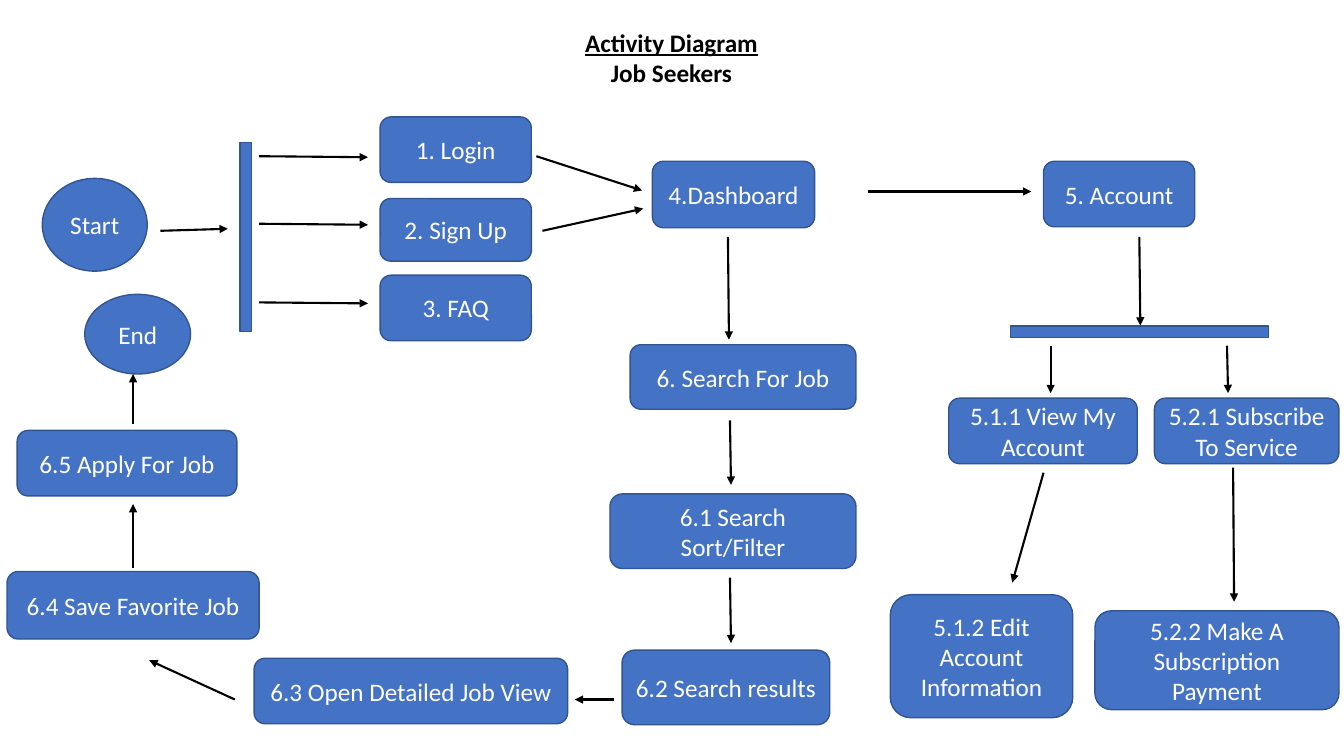
from dataclasses import dataclass

from lxml.etree import SubElement
from pptx import Presentation
from pptx.dml.color import RGBColor
from pptx.enum.shapes import MSO_CONNECTOR, MSO_SHAPE
from pptx.enum.text import MSO_ANCHOR, MSO_AUTO_SIZE, PP_ALIGN
from pptx.oxml.ns import qn
from pptx.util import Inches, Pt


@dataclass(frozen=True)
class Theme:
    """Colours, type and line widths of the diagram."""
    ink: RGBColor = RGBColor(0x00, 0x00, 0x00)
    paper: RGBColor = RGBColor(0xFF, 0xFF, 0xFF)
    step: RGBColor = RGBColor(0x44, 0x72, 0xC4)
    edge: RGBColor = RGBColor(0x32, 0x54, 0x91)
    face: str = "Calibri"
    size: Pt = Pt(18)
    edge_width: Pt = Pt(1)
    arrow_width: Pt = Pt(1.5)


THEME = Theme()
LABEL = {"name": THEME.face, "size": THEME.size}


def apply(target, formats):
    """Set each format value on the target."""
    for attribute, value in formats.items():
        setattr(target, attribute, value)


def add_step(slide, origin, at, label="", kind=MSO_SHAPE.ROUNDED_RECTANGLE, margin=0.1):
    """Add one activity, placed from the region's origin."""
    left, top, width, height = at
    step = slide.shapes.add_shape(
        kind, Inches(origin[0] + left), Inches(origin[1] + top),
        Inches(width), Inches(height))
    step.shadow.inherit = False
    step.fill.solid()
    step.fill.fore_color.rgb = THEME.step
    step.line.color.rgb = THEME.edge
    step.line.width = THEME.edge_width
    if label:
        frame = step.text_frame
        apply(frame, {"text": label, "word_wrap": True,
                      "vertical_anchor": MSO_ANCHOR.MIDDLE,
                      "margin_left": Inches(margin),
                      "margin_right": Inches(margin)})
        paragraph = frame.paragraphs[0]
        paragraph.alignment = PP_ALIGN.CENTER
        font = paragraph.runs[0].font
        apply(font, LABEL)
        font.color.rgb = THEME.paper
    return step


def add_arrows(slide, origin, routes):
    """Add arrows whose ends are measured from the region's origin."""
    left, top = origin
    for x1, y1, x2, y2 in routes:
        arrow = slide.shapes.add_connector(
            MSO_CONNECTOR.STRAIGHT, Inches(left + x1), Inches(top + y1),
            Inches(left + x2), Inches(top + y2))
        arrow.line.color.rgb = THEME.ink
        arrow.line.width = THEME.arrow_width
        properties = arrow.element.spPr
        SubElement(properties.find(qn("a:ln")), qn("a:tailEnd"), type="triangle")
        SubElement(properties, qn("a:effectLst"))


def add_heading(slide, box):
    """Fill the title placeholder with the two heading lines."""
    heading = slide.shapes.title
    places = ("left", "top", "width", "height")
    apply(heading, {place: Inches(value) for place, value in zip(places, box)})
    frame = heading.text_frame
    apply(frame, {"text": "Activity Diagram\nJob Seekers", "word_wrap": True,
                  "auto_size": MSO_AUTO_SIZE.NONE,
                  "vertical_anchor": MSO_ANCHOR.TOP})
    for paragraph, underline in zip(frame.paragraphs, (True, False)):
        paragraph.alignment = PP_ALIGN.CENTER
        font = paragraph.runs[0].font
        apply(font, {**LABEL, "bold": True, "underline": underline})
        font.color.rgb = THEME.ink


def add_entry(slide, origin):
    """Start, fork and the three ways in."""
    add_step(slide, origin, (0, 0.61, 1.04, 0.92), "Start", MSO_SHAPE.OVAL)
    fork = add_step(slide, origin, (0.74, 0.95, 2.55, 0.48), kind=MSO_SHAPE.MATH_MINUS)
    fork.rotation = 90
    choices = (("1. Login", 0, 0.65, 0.39),
               ("2. Sign Up", 0.81, 0.62, 1.06),
               ("3. FAQ", 1.57, 0.65, 1.84))
    for label, top, height, arrow_y in choices:
        add_step(slide, origin, (3.35, top, 1.5, height), label)
        add_arrows(slide, origin, [(2.15, arrow_y, 3.23, arrow_y + 0.01)])
    add_arrows(slide, origin, [(1.17, 1.13, 1.84, 1.11),
                               (4.9, 0.39, 5.95, 0.73),
                               (4.96, 1.13, 5.96, 0.91)])


def add_search(slide, origin):
    """Dashboard and the search steps below it."""
    add_step(slide, origin, (0.42, 0, 1.61, 0.66), "4.Dashboard")
    add_step(slide, origin, (0.2, 1.82, 2.24, 0.64), "6. Search For Job")
    add_step(slide, origin, (0, 3.3, 2.44, 0.74), "6.1 Search Sort/Filter", margin=0.2)
    add_step(slide, origin, (0.12, 4.85, 2.06, 0.74), "6.2 Search results")
    add_arrows(slide, origin, [(2.56, 0.3, 4.18, 0.3),
                               (1.17, 0.75, 1.18, 1.77),
                               (1.19, 2.57, 1.2, 3.21),
                               (1.19, 4.13, 1.2, 4.78)])


def add_account(slide, origin):
    """Account, its fork and the two branches."""
    add_step(slide, origin, (1.52, 0, 1.5, 0.65), "5. Account")
    add_step(slide, origin, (0.73, 1.45, 3.48, 0.48), kind=MSO_SHAPE.MATH_MINUS)
    add_step(slide, origin, (0.58, 2.35, 1.87, 0.65), "5.1.1 View My Account")
    add_step(slide, origin, (2.62, 2.35, 1.83, 0.65), "5.2.1 Subscribe To Service")
    add_step(slide, origin, (0, 4.3, 1.81, 1.22), "5.1.2 Edit Account Information")
    add_step(slide, origin, (2.03, 4.46, 2.42, 0.98), "5.2.2 Make A Subscription Payment")
    add_arrows(slide, origin, [(2.47, 0.75, 2.48, 1.63),
                               (1.59, 1.83, 1.59, 2.3),
                               (3.34, 1.83, 3.35, 2.3),
                               (1.52, 3.09, 1.21, 4.18),
                               (3.4, 3.04, 3.41, 4.37)])


def add_application(slide, origin):
    """Steps from the job view up to the end."""
    add_step(slide, origin, (2.45, 3.61, 3.11, 0.65), "6.3 Open Detailed Job View")
    add_step(slide, origin, (0, 2.75, 2.5, 0.67), "6.4 Save Favorite Job")
    add_step(slide, origin, (0.1, 1.35, 2.18, 0.65), "6.5 Apply For Job")
    add_step(slide, origin, (0.77, 0, 1.05, 0.79), "End", MSO_SHAPE.OVAL)
    add_arrows(slide, origin, [(6.02, 4.02, 5.63, 4.02),
                               (2.26, 4.02, 1.41, 3.63),
                               (1.25, 2.72, 1.25, 2.08),
                               (1.25, 1.29, 1.25, 0.79)])


def main():
    """Build the activity diagram and save it."""
    deck = Presentation()
    apply(deck, {"slide_width": Inches(13.33), "slide_height": Inches(7.5)})
    slide = deck.slides.add_slide(deck.slide_layouts.get_by_name("Title Only"))
    add_heading(slide, (5.16, 0.22, 3, 1.01))
    add_entry(slide, (0.42, 1.16))
    add_search(slide, (6.05, 1.6))
    add_account(slide, (8.83, 1.6))
    add_application(slide, (0.07, 2.92))
    deck.save("out.pptx")


if __name__ == "__main__":
    main()
